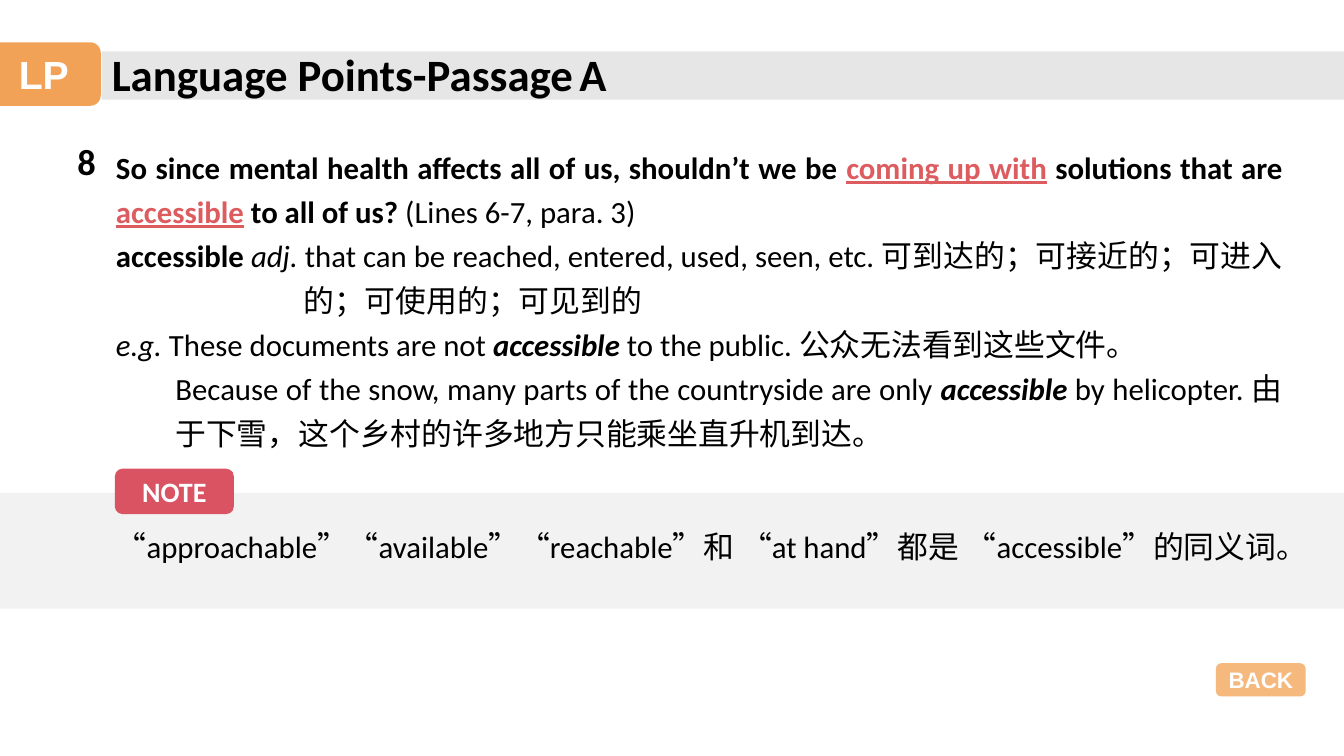
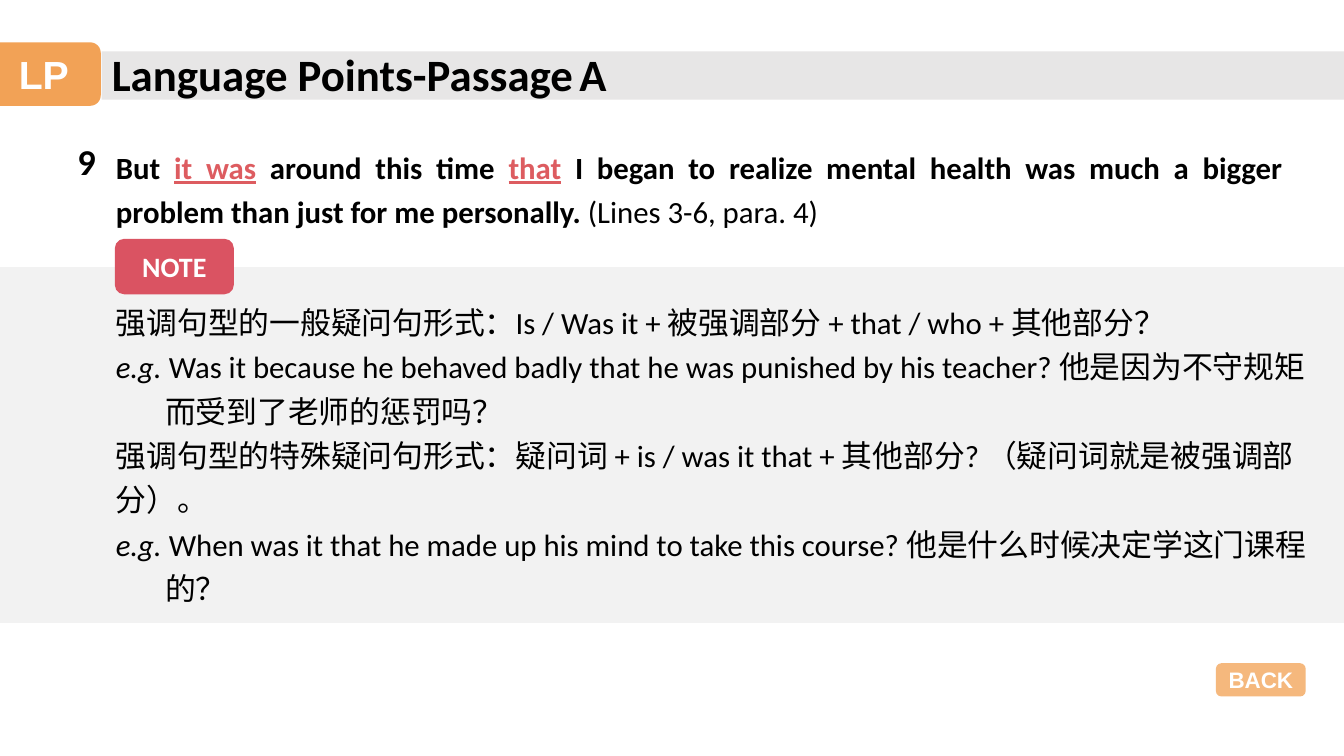
from lxml import etree
from pptx import Presentation
from pptx.dml.color import RGBColor
from pptx.enum.lang import MSO_LANGUAGE_ID
from pptx.enum.shapes import MSO_SHAPE
from pptx.enum.text import MSO_ANCHOR, MSO_AUTO_SIZE, PP_ALIGN
from pptx.oxml.ns import qn
from pptx.util import Inches, Pt

RECT, ROUND = MSO_SHAPE.RECTANGLE, MSO_SHAPE.ROUNDED_RECTANGLE
LEFT, CENTER, JUSTIFY = PP_ALIGN.LEFT, PP_ALIGN.CENTER, PP_ALIGN.JUSTIFY
TOP, MIDDLE = MSO_ANCHOR.TOP, MSO_ANCHOR.MIDDLE
NO_FIT = MSO_AUTO_SIZE.NONE
CHINESE = MSO_LANGUAGE_ID.SIMPLIFIED_CHINESE

ORANGE = RGBColor(0xF1, 0x9B, 0x48)
RED = RGBColor(0xDA, 0x53, 0x62)
KEY = RGBColor(0xDD, 0x5C, 0x60)
BAR = RGBColor(0xE7, 0xE6, 0xE6)
PALE = RGBColor(0xF2, 0xF2, 0xF2)
BLACK = RGBColor(0, 0, 0)
WHITE = RGBColor(0xFF, 0xFF, 0xFF)

WIDTH, HEIGHT = Inches(13.33), Inches(7.5)
TEXT_X, TEXT_SIZE, LINE = 7.88, 22, 1.2
TITLE = [("Language Points-Passage", "b", 32), (" ", "", 18), ("A", "b", 32)]

POINTS = [
    dict(
        number="8",
        passage=[
            (0, 0, [("So since mental health affects all of us, shouldn’t we be ", "b"),
                    ("coming up with", "bk"), (" solutions that are ", "b"),
                    ("accessible", "bk"), (" to all of us? ", "b"),
                    ("(Lines 6-7, para. 3)", "")]),
            (1.86, -1.86, [("accessible ", "b"), ("adj. ", "i"),
                           ("that can be reached, entered, used, seen, etc. "
                            "可到达的；可接近的；可进入的；可使用的；可见到的", "z")]),
            (0, 0, [("e.g. ", "i"), ("These documents are not ", ""),
                    ("accessible", "bi"),
                    (" to the public. 公众无法看到这些文件。", "z")]),
            (0.59, 0, [("Because of the snow, many parts of the countryside are only ", ""),
                       ("accessible", "bi"),
                       (" by helicopter. 由于下雪，这个乡村的许多地方只能乘坐直升机到达。", "z")]),
        ],
        passage_height=48.4,
        band=(65.2, 15.33),
        tag=(62, 6),
        note_box=(68.13, 88.82, 12),
        note=[
            (0, 0, [("“approachable”“available”“reachable”和 “at hand”都是 "
                     "“accessible”的同义词。", "z")]),
        ],
    ),
    dict(
        number="9",
        passage=[
            (0, 0, [("But ", "b"), ("it was", "bk"), (" around this time ", "b"),
                    ("that", "bk"),
                    (" I began to realize mental health was much a bigger problem "
                     "than just for me personally. ", "b"),
                    ("(Lines 3-6, para. 4)", "")]),
        ],
        passage_height=12.8,
        band=(35.33, 47.07),
        tag=(31.6, 7.33),
        note_box=(38.53, 92.12, 42.4),
        note=[
            (0, 0, [("强调句型的一般疑问句形式：Is / Was it + 被强调部分 + that / who + 其他部分？", "z")]),
            (0.49, -0.49, [("e.g. ", "i"),
                           ("Was it because he behaved badly that he was punished by his "
                            "teacher? 他是因为不守规矩而受到了老师的惩罚吗？", "z")]),
            (0, 0, [("强调句型的特殊疑问句形式：疑问词 + is / was it that + 其他部分? "
                     "（疑问词就是被强调部分）。", "z")]),
            (0.49, -0.49, [("e.g. ", "i"),
                           ("When was it that he made up his mind to take this course? "
                            "他是什么时候决定学这门课程的？", "z")]),
        ],
    ),
]


def share(x, y, w, h):
    """Turn percentages of the slide into left, top, width and height."""
    return [int(n * side / 100) for n, side in zip((x, y, w, h), (WIDTH, HEIGHT) * 2)]


def place(sp, box):
    """Move a placeholder to a box given in percentages."""
    sp.left, sp.top, sp.width, sp.height = share(*box)


def add_run(p, text, style, size, color=BLACK, font="Calibri"):
    """Add a run; style letters are b bold, i italic, k key phrase, z Chinese."""
    r = p.add_run()
    r.text = text
    f = r.font
    f.name, f.size = font, Pt(size)
    f.bold, f.italic, f.underline = "b" in style, "i" in style, "k" in style
    f.color.rgb = KEY if "k" in style else color
    if "z" in style:
        f.language_id = CHINESE


def set_frame(sp, anchor):
    """Prepare a wrapping text frame and return it."""
    tf = sp.text_frame
    tf.word_wrap, tf.auto_size, tf.vertical_anchor = True, NO_FIT, anchor
    return tf


def fill_paragraphs(sp, paragraphs, align):
    """Write unbulleted paragraphs with their indents and styled runs."""
    tf = set_frame(sp, TOP)
    for i, (margin, indent, runs) in enumerate(paragraphs):
        p = tf.add_paragraph() if i else tf.paragraphs[0]
        pPr = p._p.get_or_add_pPr()
        pPr.set("marL", str(Inches(margin)))
        pPr.set("indent", str(Inches(indent)))
        etree.SubElement(pPr, qn("a:buNone"))
        p.alignment, p.line_spacing, p.space_before = align, LINE, Pt(0)
        for text, style in runs:
            add_run(p, text, style, TEXT_SIZE)


def add_block(s, shape, box, color, alpha=100):
    """Add a plain filled shape without outline or shadow."""
    sp = s.shapes.add_shape(shape, *share(*box))
    sp.shadow.inherit = False
    sp.fill.solid()
    sp.fill.fore_color.rgb = color
    sp.line.fill.background()
    if alpha < 100:
        clr = sp.fill._xPr.find(".//" + qn("a:srgbClr"))
        etree.SubElement(clr, qn("a:alpha")).set("val", str(alpha * 1000))
    return sp


def add_band(s, box, color):
    """Add a rectangle behind everything else."""
    sp = add_block(s, RECT, box, color)
    s.shapes.element.insert(2, sp.element)


def add_label(s, box, text, size, color, font, alpha=100):
    """Add a rounded label with bold white text."""
    sp = add_block(s, ROUND, box, color, alpha)
    tf = set_frame(sp, MIDDLE)
    tf.margin_left = tf.margin_right = tf.margin_top = tf.margin_bottom = 0
    p = tf.paragraphs[0]
    p.alignment = CENTER
    add_run(p, text, "b", size, WHITE, font)


def add_frame(s):
    """Add the title, its bar, the section tab and the back button."""
    add_band(s, (7.57, 6.8, 92.43, 6.4), BAR)
    title = s.shapes.title
    place(title, (7.57, 5.47, 46, 8.53))
    p = set_frame(title, TOP).paragraphs[0]
    p.alignment = LEFT
    for text, style, size in TITLE:
        add_run(p, text, style, size)
    add_label(s, (-0.98, 5.6, 8.48, 8.4), "LP", 28, ORANGE, "Arial", 92)
    add_label(s, (90.47, 87.73, 6.68, 4.4), "BACK", 16, ORANGE, "Arial", 71)


def add_point(prs, point):
    """Add one language point slide."""
    s = prs.slides.add_slide(prs.slide_layouts[1])
    add_frame(s)
    number = s.shapes.add_textbox(*share(5.02, 17.73, 3.53, 7.2))
    add_run(set_frame(number, TOP).paragraphs[0], point["number"], "b", 26)
    body = s.placeholders[1]
    place(body, (TEXT_X, 18, 88.3, point["passage_height"]))
    fill_paragraphs(body, point["passage"], JUSTIFY)
    band_y, band_h = point["band"]
    add_band(s, (0, band_y, 100, band_h), PALE)
    note_y, note_w, note_h = point["note_box"]
    note = s.shapes.add_textbox(*share(TEXT_X, note_y, note_w, note_h))
    fill_paragraphs(note, point["note"], LEFT)
    tag_y, tag_h = point["tag"]
    add_label(s, (8.55, tag_y, 8.85, tag_h), "NOTE", 20, RED, "Calibri")


def main():
    """Build and save the presentation."""
    prs = Presentation()
    prs.slide_width, prs.slide_height = WIDTH, HEIGHT
    for point in POINTS:
        add_point(prs, point)
    prs.save("out.pptx")


if __name__ == "__main__":
    main()
